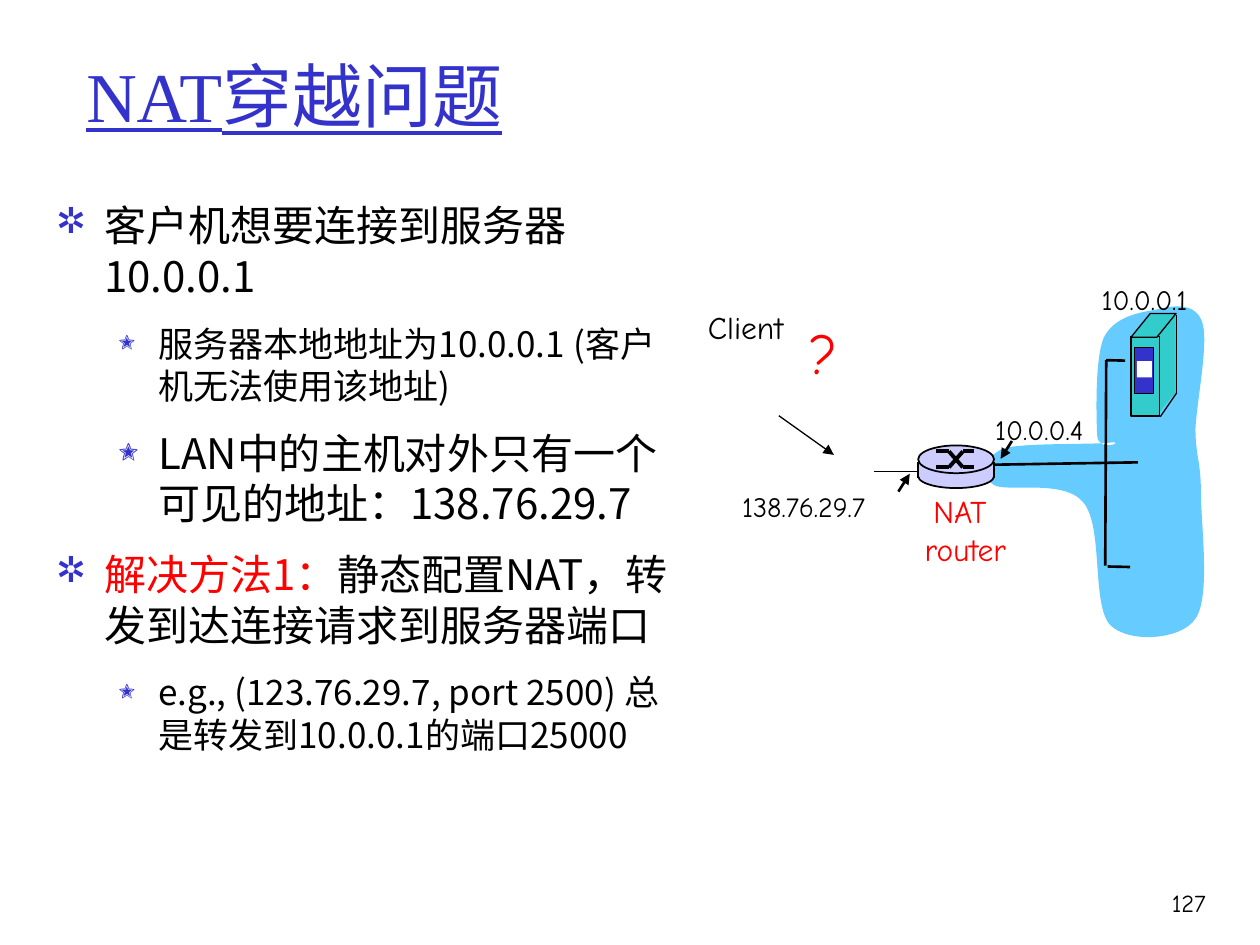
from lxml.etree import SubElement
from pptx import Presentation
from pptx.dml.color import RGBColor
from pptx.enum.shapes import MSO_CONNECTOR, MSO_SHAPE as SHAPE
from pptx.enum.text import MSO_ANCHOR, MSO_AUTO_SIZE, PP_ALIGN as ALIGN
from pptx.oxml.ns import qn
from pptx.util import Cm, Pt

COLORS = {"black": "000000", "white": "FFFFFF", "blue": "3333CC", "red": "FF0000",
          "sky": "66CCFF", "teal": "33CCCC", "lilac": "CCCCFF"}
RGB = {name: RGBColor.from_string(value) for name, value in COLORS.items()}
HAND, SANS, SERIF = "Comic Neue", "Noto Sans CJK SC", "Times New Roman"


def add_run(p, text, color, **font):
    r = p.add_run()
    r.text = text
    r.font.color.rgb = RGB[color]
    for key, value in font.items():
        setattr(r.font, key, value)
    SubElement(r.font._element, qn("a:ea"), typeface=SANS)


def add_line(shapes, x1, y1, x2, y2, width, arrow=False):
    line = shapes.add_connector(MSO_CONNECTOR.STRAIGHT, Cm(x1), Cm(y1), Cm(x2), Cm(y2))
    line.line.color.rgb = RGB["black"]
    line.line.width = Pt(width)
    if arrow:
        SubElement(line.line._get_or_add_ln(), qn("a:tailEnd"), type="triangle")
    SubElement(line._element.spPr, qn("a:effectLst"))


prs = Presentation()
prs.slide_width, prs.slide_height = Cm(25.4), Cm(19.05)
s = prs.slides.add_slide(prs.slide_layouts[6])

# Title
tf = s.shapes.add_textbox(Cm(1.49), Cm(0.64), Cm(21.59), Cm(2.54)).text_frame
tf.word_wrap = True
tf.vertical_anchor = MSO_ANCHOR.MIDDLE
add_run(tf.paragraphs[0], "NAT穿越问题", "blue", name=SERIF, size=Pt(40), underline=True)

# Bulleted text: level, size, line pitch, coloured runs
levels = [{"char": "❒", "scale": "85000", "left": 0.97, "hang": 0.97},
          {"char": "❍", "scale": "75000", "left": 2.06, "hang": 0.79}]
bullets = [
    (0, 24, 28.7, [("客户机想要连接到服务器10.0.0.1", "black")]),
    (1, 20, 24.3, [("服务器本地地址为10.0.0.1 (客户机无法使用该地址)", "black")]),
    (1, 24, 28.7, [("LAN中的主机对外只有一个可见的地址：138.76.29.7", "black")]),
    (0, 24, 28.7, [("解决方法1：", "red"),
                   ("静态配置NAT，转发到达连接请求到服务器端口", "black")]),
    (1, 20, 24.3, [("e.g., (123.76.29.7, port 2500) 总是转发到10.0.0.1的端口25000", "black")]),
]
tf = s.shapes.add_textbox(Cm(0.88), Cm(3.91), Cm(13.26), Cm(14.33)).text_frame
tf.word_wrap = True
for i, (level, size, pitch, runs) in enumerate(bullets):
    p = tf.paragraphs[0] if i == 0 else tf.add_paragraph()
    style = levels[level]
    formats = {"level": level, "line_spacing": Pt(pitch),
               "space_before": Pt(6 if i else 0), "space_after": Pt(6)}
    for key, value in formats.items():
        setattr(p, key, value)
    pPr = p._p.get_or_add_pPr()
    pPr.set("marL", str(Cm(style["left"])))
    pPr.set("indent", str(-Cm(style["hang"])))
    SubElement(SubElement(pPr, qn("a:buClr")), qn("a:srgbClr"), val=COLORS["blue"])
    SubElement(pPr, qn("a:buSzPct"), val=style["scale"])
    SubElement(pPr, qn("a:buFont"), typeface="ZapfDingbats")
    SubElement(pPr, qn("a:buChar"), char=style["char"])
    for text, color in runs:
        add_run(p, text, color, name=SANS, size=Pt(size))

# Local network cloud: two control points and an end point per curve
start = (20.24, 9.04)
curves = [
    ((20.65, 8.92), (22.1, 8.97), (22.4, 8.92)),
    ((22.71, 8.89), (22.15, 9.14), (22.12, 8.79)),
    ((22.1, 8.43), (22.07, 7.24), (22.25, 6.81)),
    ((22.45, 6.4), (22.94, 6.3), (23.27, 6.25)),
    ((23.6, 6.17), (24.08, 6.07), (24.23, 6.48)),
    ((24.38, 6.86), (24.13, 8.05), (24.1, 8.64)),
    ((24.1, 9.19), (24.21, 9.3), (24.21, 9.93)),
    ((24.21, 10.57), (24.41, 12.04), (24.1, 12.47)),
    ((23.83, 12.9), (22.76, 12.98), (22.38, 12.6)),
    ((22, 12.19), (22.25, 10.62), (21.84, 10.13)),
    ((21.46, 9.65), (20.29, 9.93), (20.04, 9.78)),
    ((19.76, 9.6), (19.84, 9.19), start),
]
builder = s.shapes.build_freeform(Cm(start[0]), Cm(start[1]))
builder.add_line_segments([(Cm(x), Cm(y)) for curve in curves for x, y in curve], close=True)
sp = builder.convert_to_shape()
segments = list(sp._element.iter(qn("a:lnTo")))
for i in range(0, len(segments), 3):
    bezier = segments[i].makeelement(qn("a:cubicBezTo"))
    segments[i].addprevious(bezier)
    for segment in segments[i:i + 3]:
        bezier.append(segment[0])
        segment.getparent().remove(segment)
sp.shadow.inherit = False
sp.fill.solid()
sp.fill.fore_color.rgb = RGB["sky"]
sp.line.fill.background()

# Network wires and arrows
for wire in [
    (19.96, 9.37, 22.94, 9.32, 1.5),
    (22.3, 7.26, 22.28, 11.4, 1.5),
    (22.3, 7.26, 22.68, 7.27, 1.5),
    (22.33, 11.42, 22.78, 11.43, 1.5),
    (17.62, 9.5, 18.75, 9.5, 0.75),
    (20.4, 8.89, 20.17, 9.25, 1.5, True),
    (18.11, 9.91, 18.34, 9.55, 1.5, True),
    (15.7, 8.38, 16.81, 9.17, 0.75, True),
]:
    add_line(s.shapes, *wire)

# Server and router: shape, box, fill, outline width
server = [
    (SHAPE.PARALLELOGRAM, (22.78, 7.92, 0.91, 0.48), "teal", 0),
    (SHAPE.RECTANGLE, (23.27, 6.32, 0.43, 1.63), "teal", 0),
    (SHAPE.RECTANGLE, (22.8, 6.78, 0.58, 1.61), "teal", 0.75),
    (SHAPE.PARALLELOGRAM, (22.8, 6.32, 0.91, 0.48), "teal", 0.75),
    (SHAPE.RECTANGLE, (22.87, 7, 0.38, 0.93), "blue", 0.75),
    (SHAPE.RECTANGLE, (22.92, 7.28, 0.3, 0.33), "white", 0),
]
server_edges = [(23.72, 6.35, 23.72, 7.92, 0.75), (23.72, 7.92, 23.39, 8.4, 0.75)]
router = [
    (SHAPE.OVAL, (18.51, 9.36, 1.53, 0.48), "lilac", 1),
    (SHAPE.RECTANGLE, (18.51, 9.32, 1.53, 0.28), "lilac", 0),
    (SHAPE.OVAL, (18.51, 8.98, 1.53, 0.56), "lilac", 1),
]
router_edges = [(x, 9.32, x, 9.63, 1) for x in (18.51, 20.04)]
for y1, y2 in [(9.1, 9.42), (9.42, 9.1)]:
    router_edges += [(18.87, y1, 19.13, y1, 2.25), (19.13, y1, 19.41, y2, 2.25),
                     (19.41, y2, 19.63, y2, 2.25)]
for parts, edges in [(server, server_edges), (router, router_edges)]:
    group = s.shapes.add_group_shape()
    for kind, box, color, width in parts:
        sp = group.shapes.add_shape(kind, *map(Cm, box))
        sp.shadow.inherit = False
        sp.fill.solid()
        sp.fill.fore_color.rgb = RGB[color]
        if kind == SHAPE.PARALLELOGRAM:
            sp.adjustments[0] = 0.81
        if width:
            sp.line.color.rgb = RGB["black"]
            sp.line.width = Pt(width)
        else:
            sp.line.fill.background()
    for edge in edges:
        add_line(group.shapes, *edge)

# Labels and page number
for box, lines, size, color, align in [
    ((21.96, 5.57, 2.49, 0.94), ["10.0.0.1"], 16, "black", ALIGN.LEFT),
    ((19.81, 8.2, 2.57, 0.94), ["10.0.0.4"], 16, "black", ALIGN.LEFT),
    ((14.71, 9.75, 3.61, 0.94), ["138.76.29.7"], 16, "black", ALIGN.LEFT),
    ((18.24, 9.79, 2.44, 1.78), ["NAT ", "router"], 18, "red", ALIGN.CENTER),
    ((14.02, 6.08, 2.24, 1.02), ["Client"], 18, "black", ALIGN.LEFT),
    ((16.06, 6.3, 1.09, 1.6), ["?"], 32, "red", ALIGN.LEFT),
    ((22.68, 17.78, 1.88, 1.27), ["127"], 14, "black", ALIGN.RIGHT),
]:
    tf = s.shapes.add_textbox(*map(Cm, box)).text_frame
    tf.word_wrap = False
    tf.auto_size = MSO_AUTO_SIZE.SHAPE_TO_FIT_TEXT
    for i, text in enumerate(lines):
        p = tf.paragraphs[0] if i == 0 else tf.add_paragraph()
        p.alignment = align
        add_run(p, text, color, name=HAND, size=Pt(size))

prs.save("out.pptx")
